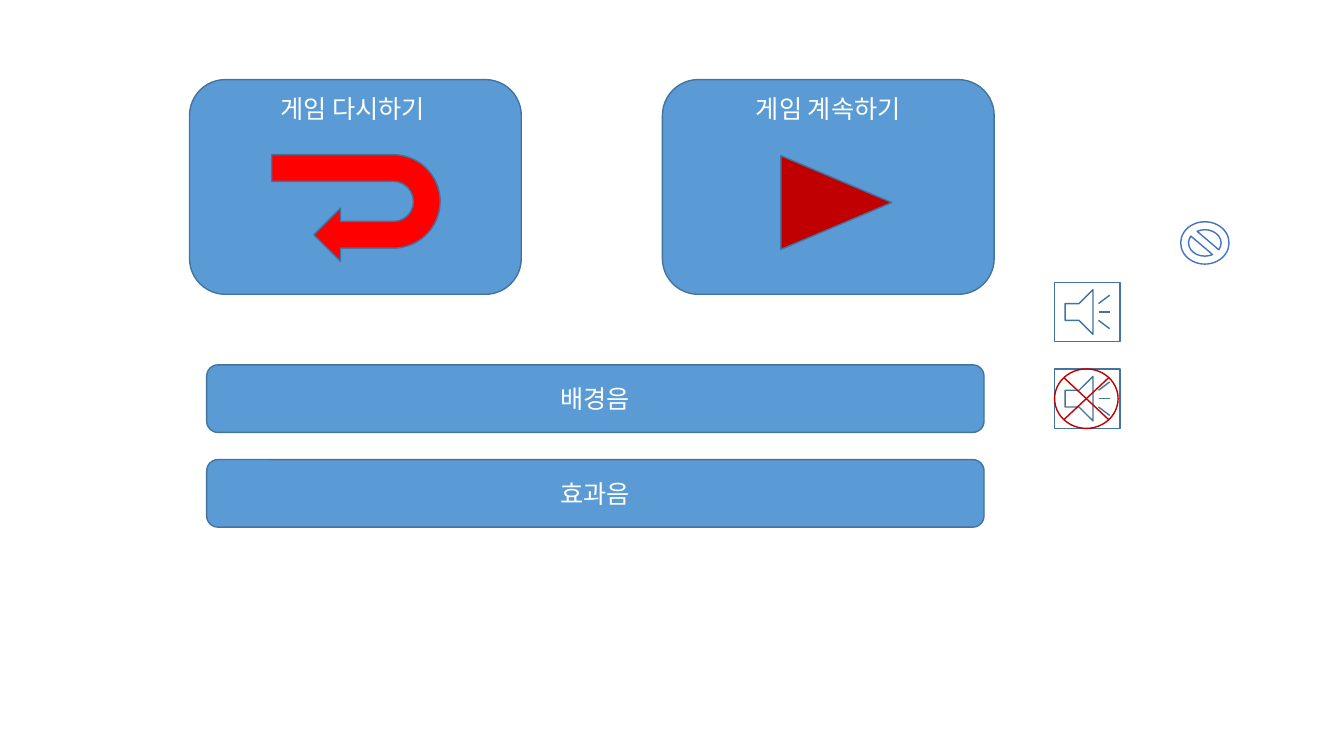
from dataclasses import dataclass

from lxml.etree import SubElement
from pptx import Presentation
from pptx.dml.color import RGBColor
from pptx.enum.shapes import MSO_SHAPE as Preset
from pptx.enum.text import MSO_ANCHOR as Anchor, PP_ALIGN as Align
from pptx.oxml.ns import qn
from pptx.util import Inches, Pt


@dataclass(frozen=True)
class Theme:
    """Colours, font and sizes of the game menu."""
    button: str = "5B9BD5"
    outline: str = "43739E"
    text: str = "FFFFFF"
    restart: str = "FF0000"
    resume: str = "C00000"
    mute: str = "C00000"
    blocked: str = "4472C4"
    blocked_fill: str = "FFFFFF"
    font: str = "Noto Sans CJK KR"
    text_size: int = 18
    line_width: int = 1


THEME = Theme()

# The trailing space belongs to the first caption and shifts its centre.
GAME_BUTTONS = ["게임 다시하기 ", "게임 계속하기"]
SOUND_BUTTONS = ["배경음", "효과음"]

GAME_LEFT, GAME_TOP, GAME_WIDTH, GAME_HEIGHT, GAME_STEP = 1.88, 0.79, 3.29, 2.13, 4.69
SOUND_LEFT, SOUND_TOP, SOUND_WIDTH, SOUND_HEIGHT, SOUND_STEP = 2.05, 3.62, 7.71, 0.67, 0.94
SPEAKER_LEFT, SPEAKER_TOP, MUTED_TOP = 10.46, 2.80, 3.66
SPEAKER_SIZE = (0.65, 0.59)

# preset, (left, top, width, height), fill, line, rotation
ICONS = [
    (Preset.ISOSCELES_TRIANGLE, (7.83, 1.46, 0.93, 1.10), THEME.resume, THEME.outline, 90),
    (Preset.ACTION_BUTTON_SOUND, (SPEAKER_LEFT, MUTED_TOP, *SPEAKER_SIZE), None, THEME.outline, 0),
    (Preset.NO_SYMBOL, (11.71, 2.20, 0.48, 0.42), THEME.blocked_fill, THEME.blocked, 0),
    (Preset.FLOWCHART_SUMMING_JUNCTION, (SPEAKER_LEFT, MUTED_TOP, 0.63, 0.59), None, THEME.mute, 0),
    (Preset.U_TURN_ARROW, (3.00, 1.23, 1.06, 1.67), THEME.restart, THEME.outline, 90),
    (Preset.ACTION_BUTTON_SOUND, (SPEAKER_LEFT, SPEAKER_TOP, *SPEAKER_SIZE), None, THEME.outline, 0),
]


def add_preset(slide, preset, box, fill, line, rotation=0):
    """Add a flat preset shape; a fill of None leaves it hollow."""
    shape = slide.shapes.add_shape(preset, *map(Inches, box))
    shape.shadow.inherit = False
    shape.rotation = rotation
    if fill:
        shape.fill.solid()
        shape.fill.fore_color.rgb = RGBColor.from_string(fill)
    else:
        shape.fill.background()
    shape.line.color.rgb = RGBColor.from_string(line)
    shape.line.width = Pt(THEME.line_width)
    return shape


def write_text(shape, text, *, size=THEME.text_size, color=THEME.text,
               anchor=Anchor.MIDDLE, top_margin=0.05):
    """Write one centred line of text into a shape."""
    frame = shape.text_frame
    frame.word_wrap = True
    frame.vertical_anchor = anchor
    frame.margin_top = Inches(top_margin)
    paragraph = frame.paragraphs[0]
    paragraph.alignment = Align.CENTER
    run = paragraph.add_run()
    run.text = text
    run.font.size = Pt(size)
    run.font.name = THEME.font
    run.font.color.rgb = RGBColor.from_string(color)
    SubElement(run.font._element, qn("a:ea"), typeface=THEME.font)


def add_button(slide, caption, box, **text_format):
    """Add a rounded button with its caption."""
    button = add_preset(slide, Preset.ROUNDED_RECTANGLE, box, THEME.button, THEME.outline)
    write_text(button, caption, **text_format)


def build_menu(slide):
    """Place the buttons, then the icons on top of them."""
    for column, caption in enumerate(GAME_BUTTONS):
        box = (GAME_LEFT + column * GAME_STEP, GAME_TOP, GAME_WIDTH, GAME_HEIGHT)
        add_button(slide, caption, box, anchor=Anchor.TOP, top_margin=0.03)
    for row, caption in enumerate(SOUND_BUTTONS):
        box = (SOUND_LEFT, SOUND_TOP + row * SOUND_STEP, SOUND_WIDTH, SOUND_HEIGHT)
        add_button(slide, caption, box)
    for icon in ICONS:
        add_preset(slide, *icon)


presentation = Presentation()
presentation.slide_width = Inches(13.33)
presentation.slide_height = Inches(7.5)
build_menu(presentation.slides.add_slide(presentation.slide_layouts[6]))
presentation.save("out.pptx")
